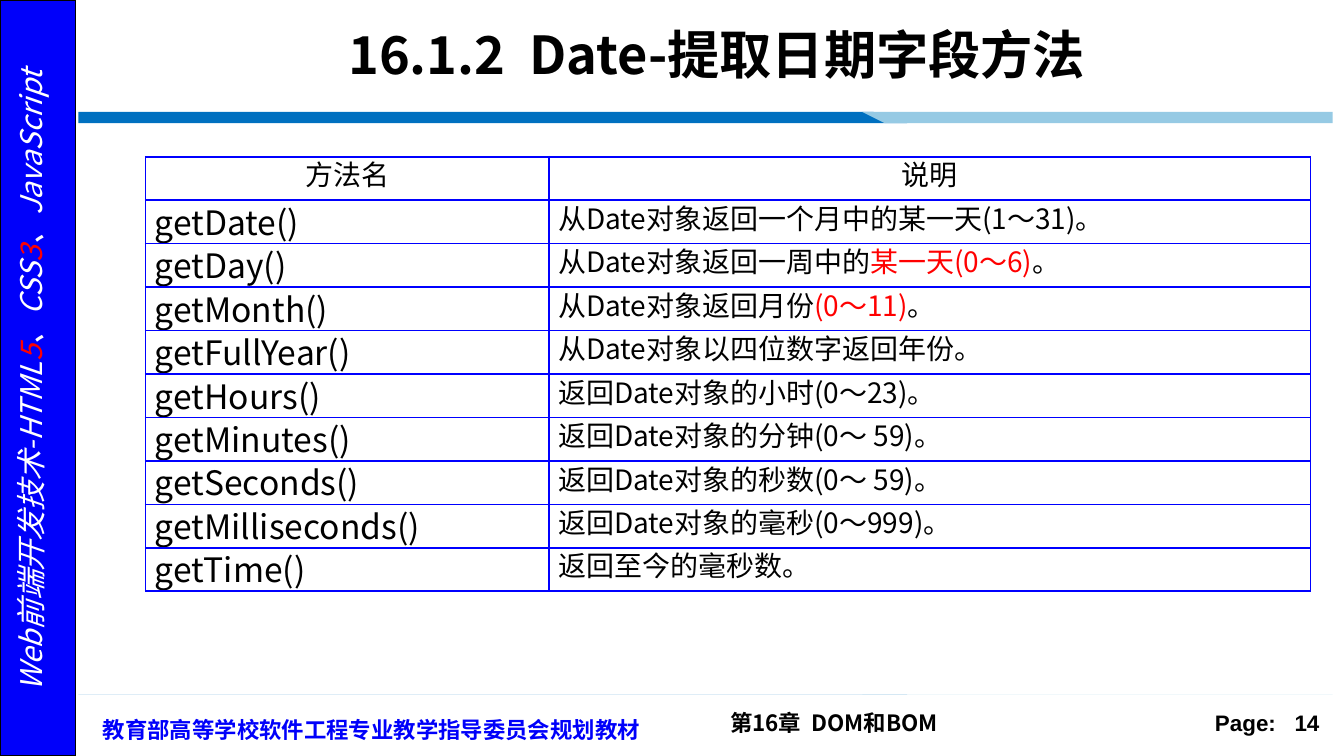
import pptx
import pptx.util
import pptx.dml.color
import pptx.enum.text
import pptx.enum.shapes
import pptx.oxml.ns
import lxml.etree

ALIGN = pptx.enum.text.PP_ALIGN
NS = pptx.oxml.ns.qn
NOTO = "Noto Sans CJK SC"
BLACK, WHITE, RED, BLUE = "000000", "FFFFFF", "FF0000", "0000FA"

deck = pptx.Presentation()
deck.slide_width = pptx.util.Inches(10)
deck.slide_height = pptx.util.Inches(5.625)
unit = deck.slide_width / 120  # grid of 120 columns by 67.5 rows


def paint(target, tint):
    if hasattr(target, "solid"):
        target.solid()
        target = target.fore_color
    target.rgb = pptx.dml.color.RGBColor.from_string(tint)


def write(par, parts, align, tight=False, **form):
    """Add (text, colour) runs; tight sets 90% lines with 20% space before."""
    par.alignment = align
    if tight:
        par.line_spacing = 0.9
        before = lxml.etree.SubElement(par._p.get_or_add_pPr(), NS("a:spcBef"))
        lxml.etree.SubElement(before, NS("a:spcPct"), val="20000")
    for text, tint in parts:
        run = par.add_run()
        run.text = text
        for key, val in {"name": NOTO, **form}.items():
            setattr(run.font, key, val)
        paint(run.font.color, tint)
        lxml.etree.SubElement(run._r.rPr, NS("a:ea"), typeface=run.font.name)


slide = deck.slides.add_slide(deck.slide_layouts[5])
shapes = slide.shapes

# Side band
band = shapes.add_shape(pptx.enum.shapes.MSO_SHAPE.RECTANGLE, 0, 0,
                        int(6.75 * unit), deck.slide_height)
band.shadow.inherit = False
paint(band.fill, BLUE)
paint(band.line.color, BLACK)
band.line.width = pptx.util.Pt(1)

# Two-tone rules; the lower one is the upper one flipped
for near, far in ((9.75, 10.75), (62.4, 61.8)):
    for tint, ends in (("0070C0", (7, 78.5, 80.6, 7)),
                       ("96CAE4", (77, 119, 119, 79.4))):
        spots = list(zip(ends, (near, near, far, far)))
        pen = shapes.build_freeform(*spots[0], scale=unit)
        pen.add_line_segments(spots[1:])
        rule = pen.convert_to_shape()
        rule.shadow.inherit = False
        paint(rule.fill, tint)
        rule.line.fill.background()

# Footer and side text: box, turn, inset, runs, align, format
bold = {"size": pptx.util.Pt(12), "bold": True}
side = [("Web前端开发技术-HTML", WHITE), ("5", RED), ("、CSS", WHITE),
        ("3", RED), ("、JavaScript", WHITE)]
notes = [
    ((64, 62.75, 39.5, 3.6), 0, 1, [("第16章  DOM和BOM", BLACK)],
     ALIGN.LEFT, bold),
    ((104, 62.75, 15, 3.6), 0, 1, [("Page:   14", BLACK)],
     ALIGN.RIGHT, {**bold, "name": "Arial"}),
    ((8, 62.75, 52, 4.2), 0, 1,
     [("教育部高等学校软件工程专业教学指导委员会规划教材", BLUE)],
     ALIGN.LEFT, bold),
    ((-27.7, 32, 62.3, 4), 270, 0, side, ALIGN.CENTER,
     {"size": pptx.util.Pt(16), "italic": True, "tight": True}),
]
for area, turn, inset, parts, align, form in notes:
    box = shapes.add_textbox(*(int(n * unit) for n in area))
    box.rotation = turn
    frame = box.text_frame
    frame.word_wrap = True
    for edge, gap in (("left", 1.2), ("right", 1.2), ("top", 0.6), ("bottom", 0.6)):
        setattr(frame, "margin_" + edge, int(gap * inset * unit))
    write(frame.paragraphs[0], parts, align, **form)
    if parts[0][1] == BLUE:
        frame.paragraphs[0].line_spacing = pptx.util.Pt(18)

# Title
title = shapes.title
for key, val in zip(("left", "top", "width", "height"), (13, 1, 102, 7.5)):
    setattr(title, key, int(val * unit))
title.text_frame.vertical_anchor = pptx.enum.text.MSO_ANCHOR.MIDDLE
write(title.text_frame.paragraphs[0], [("16.1.2  Date-提取日期字段方法", BLACK)],
      ALIGN.CENTER, size=pptx.util.Pt(28), bold=True)

# Method table; text between bars is red
rows = [
    ("方法名", "说明"),
    ("getDate()", "从Date对象返回一个月中的某一天(1～31)。"),
    ("getDay()", "从Date对象返回一周中的|某一天(0～6)|。"),
    ("getMonth()", "从Date对象返回月份|(0～11)|。"),
    ("getFullYear()", "从Date对象以四位数字返回年份。"),
    ("getHours()", "返回Date对象的小时(0～23)。"),
    ("getMinutes()", "返回Date对象的分钟(0～ 59)。"),
    ("getSeconds()", "返回Date对象的秒数(0～ 59)。"),
    ("getMilliseconds()", "返回Date对象的毫秒(0～999)。"),
    ("getTime()", "返回至今的毫秒数。"),
]
grid = shapes.add_table(len(rows), 2, int(13 * unit), int(14 * unit),
                        int(104 * unit), int(38.8 * unit)).table
grid.first_row = grid.horz_banding = False
for col, wide in zip(grid.columns, (36, 68)):
    col.width = int(wide * unit)
pad = pptx.util.Inches(0.07)
frame = {"margin_left": pad, "margin_right": pad, "margin_top": 0, "margin_bottom": 0}
for r, row in enumerate(rows):
    for c, text in enumerate(row):
        cell = grid.cell(r, c)
        for key, val in frame.items():
            setattr(cell, key, val)
        for edge in "LRTB":
            line = lxml.etree.SubElement(cell._tc.get_or_add_tcPr(),
                                         NS("a:ln" + edge), w="12700")
            ink = lxml.etree.SubElement(line, NS("a:solidFill"))
            lxml.etree.SubElement(ink, NS("a:srgbClr"), val="0000FF")
        cell.fill.background()
        parts = [(bit, RED if i % 2 else BLACK)
                 for i, bit in enumerate(text.split("|"))]
        write(cell.text_frame.paragraphs[0], parts,
              ALIGN.JUSTIFY if r else ALIGN.CENTER, tight=True,
              size=pptx.util.Pt(18 if r and c == 0 else 15))

deck.save("out.pptx")
